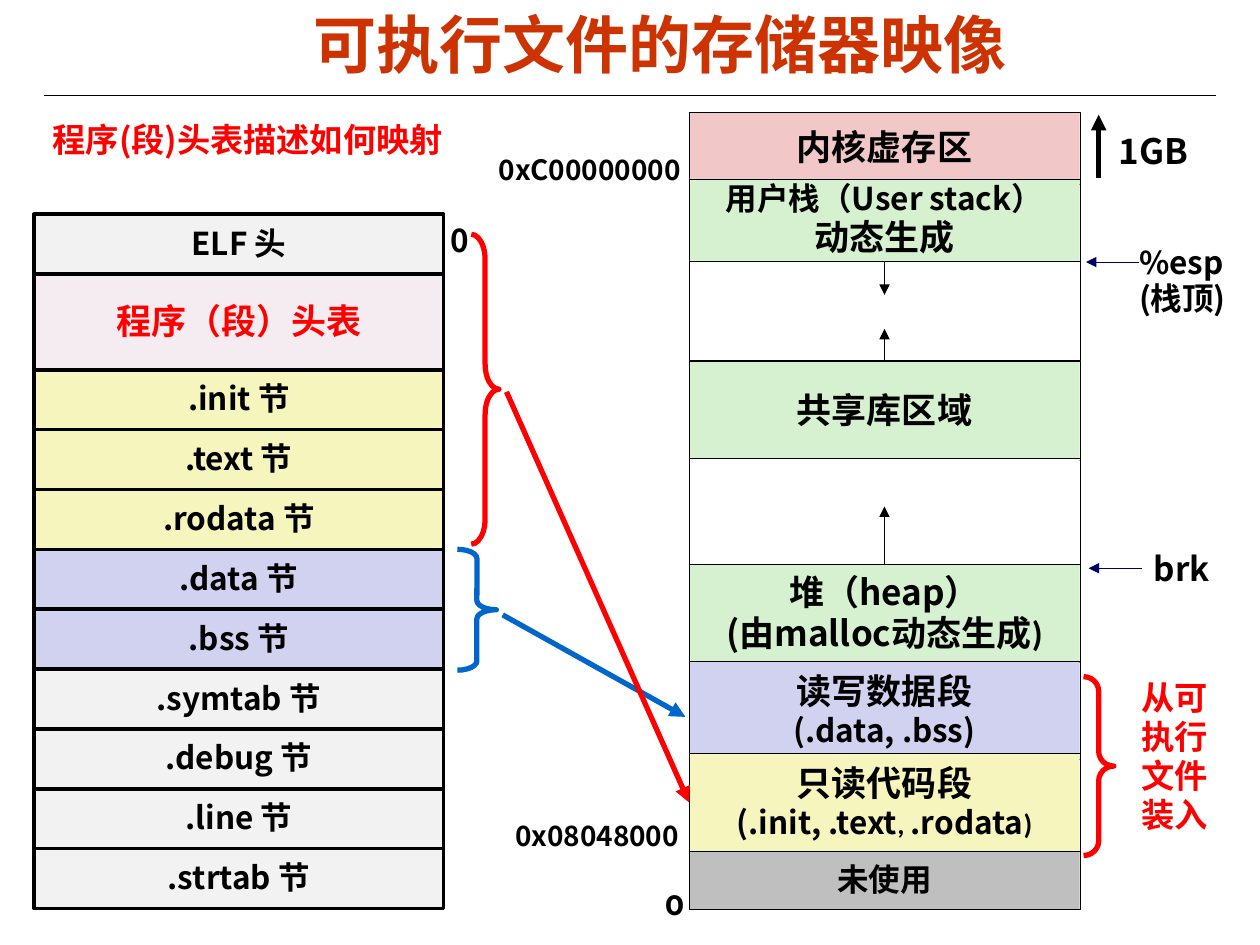
from lxml import etree
from pptx import Presentation
from pptx.dml.color import RGBColor
from pptx.enum.shapes import MSO_CONNECTOR, MSO_SHAPE
from pptx.enum.text import MSO_ANCHOR, MSO_AUTO_SIZE, PP_ALIGN
from pptx.oxml.ns import qn
from pptx.util import Inches, Pt

STRAIGHT = MSO_CONNECTOR.STRAIGHT
RECTANGLE, BRACE = MSO_SHAPE.RECTANGLE, MSO_SHAPE.RIGHT_BRACE
TOP, MIDDLE = MSO_ANCHOR.TOP, MSO_ANCHOR.MIDDLE
LEFT, CENTER = PP_ALIGN.LEFT, PP_ALIGN.CENTER
SIDE_TOP, SIDE_LEFT, SIDE_BOTTOM = 0, 1, 2

SANS, LATIN = "Noto Sans CJK SC", "Calibri"
COLORS = {
    "black": "000000", "white": "FFFFFF", "title": "CC3300", "red": "FF0000",
    "blue": "0066CC", "navy": "000066", "grey": "F2F2F2", "plum": "993366",
    "yellow": "F6F5BD", "lilac": "D1D1F0", "green": "D5F1CF",
    "pink": "F1C7C7", "unused": "BFBFBF",
}

# ELF file rows: text, fill
FILE_LEFT, FILE_TOP, FILE_BOTTOM, FILE_WIDTH = 0.27, 1.7, 7.21, 3.25
HEADER_TABLE, HEADER_TABLE_HEIGHT = "程序（段）头表", 0.76
FILE_ROWS = [
    ("ELF 头", "grey"), (HEADER_TABLE, "plum"), (".init 节", "yellow"),
    (".text 节", "yellow"), (".rodata 节", "yellow"), (".data 节", "lilac"),
    (".bss 节", "lilac"), (".symtab 节", "grey"), (".debug 节", "grey"),
    (".line 节", "grey"), (".strtab 节", "grey"),
]

# Memory regions: key, top, height, fill, paragraphs of (text, size, font)
MEMORY_LEFT, MEMORY_WIDTH = 5.47, 3.1
MEMORY = [
    ("kernel", 0.89, 0.57, "pink", [[("内核虚存区", 20, SANS)]]),
    ("stack", 1.42, 0.65, "green", [[("用户栈（User stack）", 18, SANS)],
                                    [("动态生成", 20, LATIN)]]),
    ("stack gap", 2.07, 0.79, "white", []),
    ("shared", 2.87, 0.78, "green", [[("共享库区域", 20, SANS)]]),
    ("heap gap", 3.64, 0.84, "white", []),
    ("heap", 4.48, 0.78, "green", [[("堆（heap）", 20, SANS)],
                                   [("(由malloc动态生成", 20, SANS), (")", 20, LATIN)]]),
    ("data", 5.25, 0.78, "lilac", [[("读写数据段", 20, SANS)],
                                   [("(.data, .bss)", 18, SANS)]]),
    ("code", 5.98, 0.78, "yellow", [[("只读代码段", 20, SANS)],
                                    [("(.init, .text", 18, SANS), (", ", 16, LATIN),
                                     (".rodata", 18, SANS), (")", 16, LATIN)]]),
    ("unused", 6.76, 0.46, "unused", [[("未使用", 18, SANS)]]),
]

# Labels: lines, place, size, font, colour, line spacing, wrap, side inset
LABELS = [
    (["程序(段)头表描述如何映射"], (0.32, 0.9, 3.57, 0.42), 19, SANS, "red", 1, True, 0.1),
    (["0"], (3.48, 1.72, 0.35, 0.4), 18, SANS, "black", 0.98, True, 0.1),
    (["%esp", "(栈顶)"], (9.04, 1.9, 0.8, 0.68), 18, SANS, "black", 0.96, True, 0),
    (["brk"], (9.06, 4.33, 0.64, 0.4), 19, SANS, "black", 0.94, False, 0.1),
    (["0xC00000000"], (3.86, 1.18, 1.71, 0.35), 16, SANS, "black", 0.94, False, 0.1),
    (["0x08048000"], (3.99, 6.47, 1.56, 0.35), 16, SANS, "black", 0.94, False, 0.1),
    (["0"], (5.18, 7.01, 0.35, 0.36), 16, "Montserrat", "black", 0.98, False, 0.1),
    (["从可执行文件装入"], (8.96, 5.34, 0.82, 1.34), 19, LATIN, "red", 0.98, True, 0.1),
    (["1GB"], (8.78, 0.98, 0.92, 0.43), 20, SANS, "black", 1, True, 0.1),
]

# Braces: place, curve, colour
BRACES = [
    ((8.6, 5.37, 0.24, 1.42), 0.486, "red"),
    ((3.63, 4.36, 0.31, 0.96), 0.234, "blue"),
    ((3.74, 1.86, 0.22, 2.46), 0.915, "red"),
]


def rgb(name):
    return RGBColor.from_string(COLORS[name])


def set_text(frame, paragraphs, color="black", align=CENTER, spacing=0.98,
             anchor=MIDDLE, wrap=False, side=0.1):
    formats = {
        "word_wrap": wrap, "auto_size": MSO_AUTO_SIZE.NONE, "vertical_anchor": anchor,
        "margin_left": Inches(side), "margin_right": Inches(side),
        "margin_top": Inches(0.05), "margin_bottom": Inches(0.05),
    }
    for name, value in formats.items():
        setattr(frame, name, value)
    for index, spans in enumerate(paragraphs):
        para = frame.add_paragraph() if index else frame.paragraphs[0]
        para.alignment, para.line_spacing = align, spacing
        for text, size, font in spans:
            span = para.add_run()
            span.text = text
            for name, value in {"size": Pt(size), "name": font, "bold": True}.items():
                setattr(span.font, name, value)
            span.font.color.rgb = rgb(color)
            # East Asian glyphs need their own typeface entry
            latin = span.font._element.find(qn("a:latin"))
            east_asian = etree.Element(qn("a:ea"), typeface=SANS)
            latin.addnext(east_asian)


def add_outline(page, kind, place, color, width):
    shape = page.shapes.add_shape(kind, *map(Inches, place))
    shape.shadow.inherit = False
    shape.line.color.rgb = rgb(color)
    shape.line.width = Pt(width)
    return shape


def add_box(page, place, fill, paragraphs, width, color="black"):
    box = add_outline(page, RECTANGLE, place, "black", width)
    box.fill.solid()
    box.fill.fore_color.rgb = rgb(fill)
    if fill == "plum":
        tint = box._element.spPr.find(qn("a:solidFill"))[0]
        etree.SubElement(tint, qn("a:alpha"), val="9000")
    set_text(box.text_frame, paragraphs, color)
    return box


def add_brace(page, place, curve, color):
    brace = add_outline(page, BRACE, place, color, 3)
    brace.fill.background()
    brace.adjustments[0] = curve


def add_line(page, start, end, color, width, arrow=True):
    line = page.shapes.add_connector(STRAIGHT, *map(Inches, start + end))
    line.line.color.rgb = rgb(color)
    line.line.width = Pt(width)
    if arrow:
        etree.SubElement(line.line._get_or_add_ln(), qn("a:tailEnd"), type="triangle")
    etree.SubElement(line._element.spPr, qn("a:effectLst"))
    return line


def add_title(page):
    title = page.shapes.title
    place = {"left": 0.47, "top": 0, "width": 9.53, "height": 0.68}
    for name, value in place.items():
        setattr(title, name, Inches(value))
    set_text(title.text_frame, [[("可执行文件的存储器映像", 36, "Arial")]],
             "title", spacing=1, wrap=True)
    add_line(page, (0.35, 0.76), (9.65, 0.76), "black", 0.75, arrow=False)


def add_file(page):
    row_height = (FILE_BOTTOM - FILE_TOP - HEADER_TABLE_HEIGHT) / (len(FILE_ROWS) - 1)
    top = FILE_TOP
    for text, fill in FILE_ROWS:
        is_table = text == HEADER_TABLE
        height = HEADER_TABLE_HEIGHT if is_table else row_height
        add_box(page, (FILE_LEFT, top, FILE_WIDTH, height), fill,
                [[(text, 20 if is_table else 18, SANS)]], 2,
                "red" if is_table else "black")
        top += height


def add_memory(page):
    return {key: add_box(page, (MEMORY_LEFT, top, MEMORY_WIDTH, height),
                         fill, paragraphs, 0.25)
            for key, top, height, fill, paragraphs in MEMORY}


def add_arrows(page, regions):
    # Growth of stack, shared libraries and heap
    middle = MEMORY_LEFT + MEMORY_WIDTH / 2
    for key, side, start, end in [("stack", SIDE_BOTTOM, 2.07, 2.34),
                                  ("shared", SIDE_TOP, 2.87, 2.61),
                                  ("heap", SIDE_TOP, 4.48, 4.02)]:
        arrow = add_line(page, (middle, start), (middle, end), "black", 0.25)
        arrow.begin_connect(regions[key], side)
    # Pointers and kernel size
    add_line(page, (9.04, 2.08), (8.62, 2.08), "navy", 0.25)
    add_line(page, (9.06, 4.51), (8.64, 4.51), "navy", 0.25)
    add_line(page, (8.72, 1.41), (8.72, 0.91), "black", 3)
    # Mapping from file to memory
    add_line(page, (3.99, 4.88), (5.44, 5.69), "blue", 3)
    mapping = add_line(page, (4.02, 3.11), (5.47, 6.37), "red", 3)
    mapping.end_connect(regions["code"], SIDE_LEFT)


def main():
    deck = Presentation()
    deck.slide_width, deck.slide_height = Inches(10), Inches(7.5)
    page = deck.slides.add_slide(deck.slide_layouts[5])
    add_title(page)
    regions = add_memory(page)
    add_file(page)
    for place, curve, color in BRACES:
        add_brace(page, place, curve, color)
    add_arrows(page, regions)
    for lines, place, size, font, color, spacing, wrap, side in LABELS:
        label = page.shapes.add_textbox(*map(Inches, place))
        set_text(label.text_frame, [[(line, size, font)] for line in lines],
                 color, LEFT, spacing, TOP, wrap, side)
    deck.save("out.pptx")


if __name__ == "__main__":
    main()
